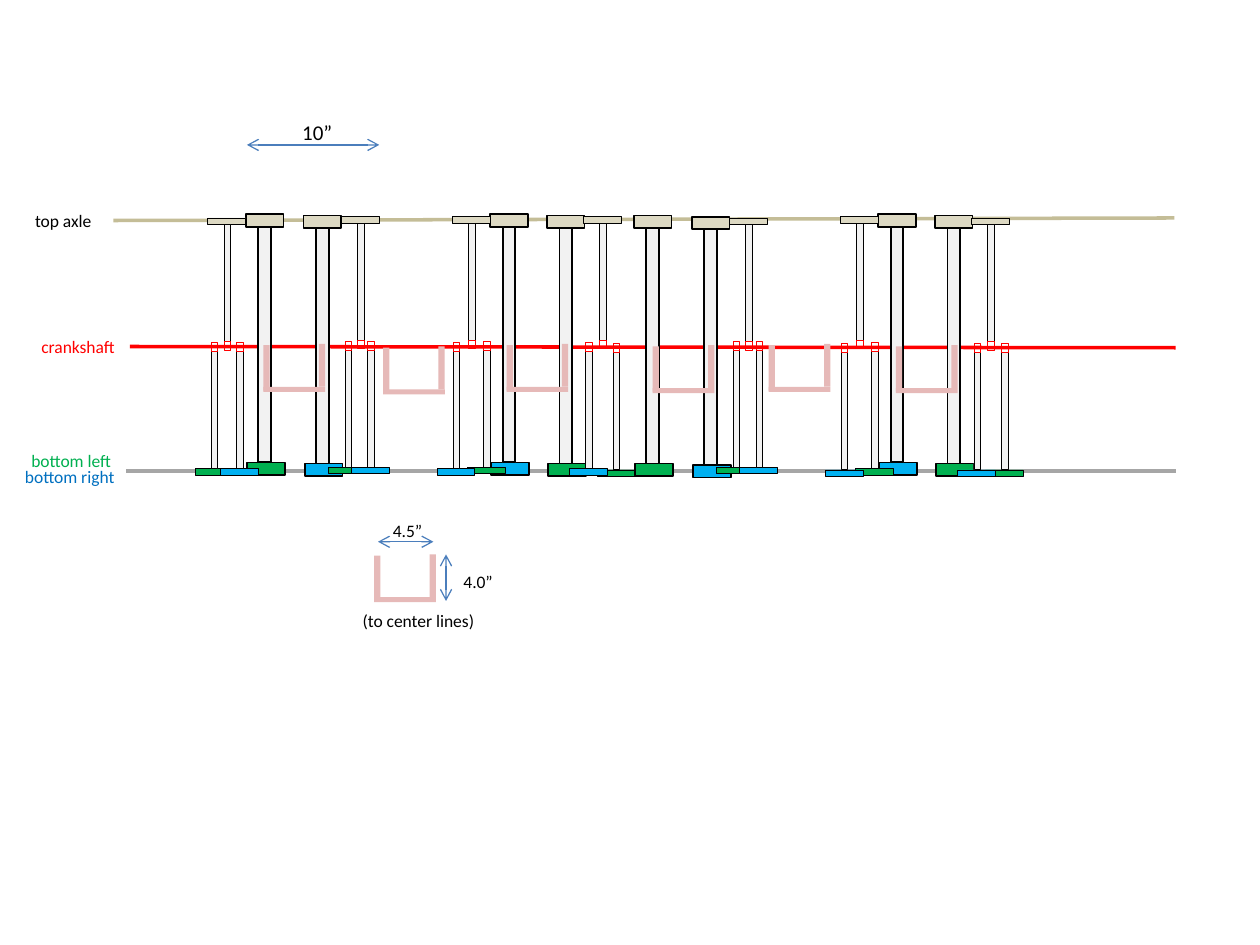
from dataclasses import dataclass
from typing import Optional

import pptx
import pptx.dml.color
import pptx.enum.shapes
import pptx.enum.text
import pptx.oxml
import pptx.oxml.ns
import pptx.util


@dataclass(frozen=True)
class Theme:
    font: str = "Calibri"
    label_size: float = 10
    span_size: float = 12
    black: str = "000000"
    red: str = "FF0000"
    green: str = "00B050"
    sky: str = "00B0F0"
    blue: str = "0070C0"
    dimension: str = "4B7EBC"
    axle: str = "C4BD97"
    ground: str = "A6A6A6"
    bar: str = "DDD9C3"
    rod: str = "F2F2F2"
    crank: str = "E6B9B8"
    shaft_width: float = 2
    dimension_width: float = 0.75
    heavy: float = 1
    light: float = 0.5


THEME = Theme()


@dataclass(frozen=True)
class Beam:
    left: float
    top: float
    width: float
    height: float
    fill: Optional[str]
    outline: Optional[str] = THEME.black
    weight: float = THEME.light


@dataclass(frozen=True)
class Leg:
    left: float
    top: float
    foot: str

    def beams(self) -> list[Beam]:
        x, y = self.left, self.top
        return [
            Beam(x, y, 0.3, 0.1, THEME.bar, weight=THEME.heavy),
            Beam(x + 0.01, y + 1.97, 0.3, 0.1, self.foot, weight=THEME.heavy),
            Beam(x + 0.1, y + 0.1, 0.1, 1.87, THEME.rod, weight=THEME.heavy),
        ]


@dataclass(frozen=True)
class Link:
    left: float
    top: float
    bar: str = THEME.bar
    hanging: bool = True

    def beams(self) -> list[Beam]:
        x, y = self.left, self.top
        rod_top, pin_top = (y + 0.05, y + 0.98) if self.hanging else (y - 0.93, y - 1)
        return [
            Beam(x, y, 0.3, 0.05, self.bar),
            Beam(x + 0.13, rod_top, 0.05, 0.93, THEME.rod),
            Beam(x + 0.13, pin_top, 0.05, 0.07, None, THEME.red),
        ]


@dataclass(frozen=True)
class Crank:
    left: float
    top: float

    def beams(self) -> list[Beam]:
        x, y = self.left, self.top
        return [
            Beam(x, y, 0.05, 0.36, THEME.crank, None),
            Beam(x + 0.44, y - 0.01, 0.05, 0.34, THEME.crank, None),
            Beam(x, y + 0.33, 0.49, 0.04, THEME.crank, None),
        ]


@dataclass(frozen=True)
class Line:
    start: tuple[float, float]
    end: tuple[float, float]
    color: str = THEME.dimension
    width: float = THEME.dimension_width
    arrows: bool = True


@dataclass(frozen=True)
class Label:
    text: str
    left: float
    top: float
    width: float
    color: str = THEME.black
    size: float = THEME.label_size
    height: float = 0.27


def length(inches: float) -> pptx.util.Cm:
    return pptx.util.Cm(inches * 2.54)


def rgb(color: str) -> pptx.dml.color.RGBColor:
    return pptx.dml.color.RGBColor.from_string(color)


def draw_assembly(slide, assembly: Leg | Link | Crank) -> None:
    group = slide.shapes.add_group_shape()
    for beam in assembly.beams():
        box = map(length, (beam.left, beam.top, beam.width, beam.height))
        bar = group.shapes.add_shape(pptx.enum.shapes.MSO_SHAPE.RECTANGLE, *box)
        bar.shadow.inherit = False
        if beam.fill:
            bar.fill.solid()
            bar.fill.fore_color.rgb = rgb(beam.fill)
        else:
            bar.fill.background()
        if beam.outline:
            bar.line.color.rgb = rgb(beam.outline)
            bar.line.width = pptx.util.Pt(beam.weight)
        else:
            bar.line.fill.background()


def draw_line(slide, line: Line) -> None:
    ends = map(length, (*line.start, *line.end))
    connector = slide.shapes.add_connector(pptx.enum.shapes.MSO_CONNECTOR.STRAIGHT, *ends)
    connector.line.color.rgb = rgb(line.color)
    connector.line.width = pptx.util.Pt(line.width)
    namespace = pptx.oxml.ns.nsdecls("a")
    if line.arrows:
        for end in ("headEnd", "tailEnd"):
            arrow = pptx.oxml.parse_xml(f'<a:{end} {namespace} type="arrow"/>')
            connector.line._get_or_add_ln().append(arrow)
    connector._element.spPr.append(pptx.oxml.parse_xml(f"<a:effectLst {namespace}/>"))


def draw_label(slide, label: Label) -> None:
    box = map(length, (label.left, label.top, label.width, label.height))
    frame = slide.shapes.add_textbox(*box).text_frame
    frame.text = label.text
    frame.word_wrap = False
    frame.auto_size = pptx.enum.text.MSO_AUTO_SIZE.SHAPE_TO_FIT_TEXT
    font = frame.paragraphs[0].runs[0].font
    font.name = THEME.font
    font.size = pptx.util.Pt(label.size)
    font.color.rgb = rgb(label.color)


SHAFTS = [
    Line((0.9, 1.75), (9.32, 1.73), THEME.axle, THEME.shaft_width, False),
    Line((1.03, 2.75), (9.33, 2.76), THEME.red, THEME.shaft_width, False),
    Line((1, 3.74), (9.33, 3.74), THEME.ground, THEME.shaft_width, False),
]
GREEN, SKY = THEME.green, THEME.sky
LINKAGES = [
    Leg(2.41, 1.71, SKY), Link(1.55, 3.72, GREEN, False),
    Leg(1.95, 1.7, GREEN), Link(1.75, 3.72, SKY, False), Link(1.65, 1.73),
    Link(2.61, 3.71, GREEN, False), Link(2.79, 3.71, SKY, False), Link(2.71, 1.72),
    Leg(3.89, 1.7, SKY), Link(4.74, 3.73, GREEN, False),
    Leg(4.34, 1.71, GREEN), Link(4.52, 3.72, SKY, False), Link(4.63, 1.72),
    Link(3.71, 3.71, GREEN, False), Link(3.47, 3.72, SKY, False), Link(3.59, 1.72),
    Leg(5.49, 1.72, SKY), Leg(5.03, 1.71, GREEN),
    Link(5.69, 3.71, GREEN, False), Link(5.87, 3.71, SKY, False), Link(5.79, 1.73),
    Leg(6.97, 1.7, SKY), Link(7.82, 3.73, GREEN, False),
    Leg(7.42, 1.71, GREEN), Link(7.6, 3.73, SKY, False), Link(7.71, 1.73),
    Link(6.79, 3.72, GREEN, False), Link(6.55, 3.73, SKY, False), Link(6.67, 1.72),
]
CRANKS = [
    Crank(2.97, 4.41), Crank(2.09, 2.74), Crank(7.11, 2.75), Crank(6.1, 2.74),
    Crank(5.18, 2.75), Crank(4.02, 2.74), Crank(3.04, 2.76),
]
DIMENSIONS = [
    Line((1.96, 1.15), (3.01, 1.15)),
    Line((3, 4.3), (3.44, 4.3)),
    Line((3.54, 4.77), (3.54, 4.4)),
]
LABELS = [
    Label("top axle", 0.18, 1.62, 0.66),
    Label("bottom right", 0.1, 3.65, 0.93, THEME.blue),
    Label("bottom left", 0.15, 3.52, 0.85, THEME.green),
    Label("crankshaft", 0.23, 2.62, 0.8, THEME.red),
    Label("10”", 2.3, 0.9, 0.44, size=THEME.span_size, height=0.3),
    Label("4.5”", 3.02, 4.08, 0.44),
    Label("4.0”", 3.58, 4.48, 0.44),
    Label("(to center lines)", 2.78, 4.79, 1.1),
]


def main() -> None:
    deck = pptx.Presentation()
    deck.slide_width, deck.slide_height = length(10), length(7.5)
    slide = deck.slides.add_slide(deck.slide_layouts[6])
    for shaft in SHAFTS:
        draw_line(slide, shaft)
    for assembly in LINKAGES + CRANKS:
        draw_assembly(slide, assembly)
    for dimension in DIMENSIONS:
        draw_line(slide, dimension)
    for label in LABELS:
        draw_label(slide, label)
    deck.save("out.pptx")


if __name__ == "__main__":
    main()
